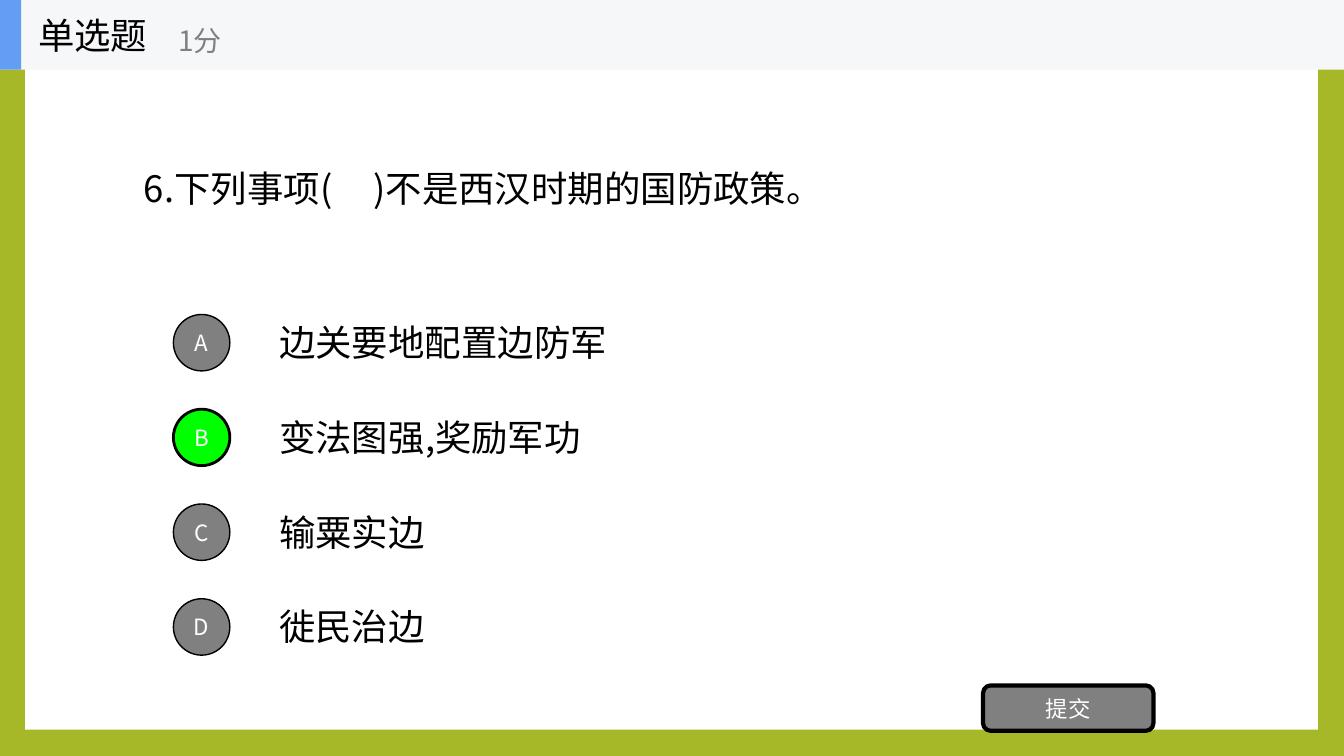
from dataclasses import dataclass

from lxml import etree
from pptx import Presentation
from pptx.dml.color import RGBColor
from pptx.enum.shapes import MSO_SHAPE
from pptx.enum.text import MSO_ANCHOR, MSO_AUTO_SIZE, PP_ALIGN
from pptx.oxml.ns import qn
from pptx.shapes.autoshape import Shape
from pptx.util import Emu, Pt

RECTANGLE = MSO_SHAPE.RECTANGLE
ROUNDED = MSO_SHAPE.ROUNDED_RECTANGLE
OVAL = MSO_SHAPE.OVAL
MIDDLE = MSO_ANCHOR.MIDDLE
LEFT = PP_ALIGN.LEFT
CENTER = PP_ALIGN.CENTER
GROW = MSO_AUTO_SIZE.SHAPE_TO_FIT_TEXT
FIXED = MSO_AUTO_SIZE.NONE

EMU_PER_PX = 9144  # 100 px to the inch


@dataclass(frozen=True)
class Theme:
    font: str = "Noto Sans CJK SC"
    border: str = "A6B727"
    panel: str = "FFFFFF"
    bar: str = "F6F7F8"
    accent: str = "639EF4"
    ink: str = "000000"
    muted: str = "808080"
    correct: str = "00FF00"
    light: str = "FFFFFF"
    body_size: int = 26
    points_size: int = 20
    button_size: int = 16


@dataclass(frozen=True)
class Area:
    left: int
    top: int
    width: int
    height: int

    def emu(self) -> list[Emu]:
        sides = (self.left, self.top, self.width, self.height)
        return [Emu(side * EMU_PER_PX) for side in sides]


@dataclass(frozen=True)
class Choice:
    letter: str
    answer: str
    width: int
    correct: bool = False


THEME = Theme()
CHOICES = (
    Choice("A", "边关要地配置边防军", 356),
    Choice("B", "变法图强,奖励军功", 328, correct=True),
    Choice("C", "输粟实边", 175),
    Choice("D", "徙民治边", 175),
)
CHOICE_TOP = 312
CHOICE_PITCH = 94
CIRCLE_LEFT = 172
CIRCLE_SIZE = 56
ANSWER_LEFT = 267
TEXT_HEIGHT = 53
BAR_HEIGHT = 69


def write(box: Shape, text: str, size: int, color: str, align: PP_ALIGN) -> None:
    """Fill a box with one vertically centred paragraph."""
    box.text_frame.vertical_anchor = MIDDLE
    para = box.text_frame.paragraphs[0]
    para.text = text
    para.alignment = align
    para.font.size = Pt(size)
    para.font.color.rgb = RGBColor.from_string(color)
    para.font.name = THEME.font
    defaults = para._p.pPr.find(qn("a:defRPr"))
    etree.SubElement(defaults, qn("a:ea"), typeface=THEME.font)


def add_text(shapes, area: Area, text: str, size: int = THEME.body_size,
             color: str = THEME.ink, wrap: bool = True) -> None:
    box = shapes.add_textbox(*area.emu())
    box.text_frame.word_wrap = wrap
    box.text_frame.auto_size = GROW if wrap else FIXED
    write(box, text, size, color, LEFT)


def add_block(shapes, kind: MSO_SHAPE, area: Area, fill: str) -> Shape:
    """Add a plain filled shape without outline or shadow."""
    block = shapes.add_shape(kind, *area.emu())
    block.shadow.inherit = False
    block.fill.solid()
    block.fill.fore_color.rgb = RGBColor.from_string(fill)
    block.line.fill.background()
    return block


def add_button(shapes, kind: MSO_SHAPE, area: Area, label: str,
               fill: str, line_width: int) -> None:
    button = add_block(shapes, kind, area, fill)
    button.line.color.rgb = RGBColor.from_string(THEME.ink)
    button.line.width = Pt(line_width)
    write(button, label, THEME.button_size, THEME.light, CENTER)


def add_choice(shapes, choice: Choice, top: int) -> None:
    add_text(shapes, Area(ANSWER_LEFT, top + 1, choice.width, TEXT_HEIGHT), choice.answer)
    add_button(shapes, OVAL, Area(CIRCLE_LEFT, top, CIRCLE_SIZE, CIRCLE_SIZE), choice.letter,
               THEME.correct if choice.correct else THEME.muted,
               2 if choice.correct else 1)


def add_title_bar(shapes) -> None:
    add_block(shapes, RECTANGLE, Area(0, 0, 1333, BAR_HEIGHT), THEME.bar)
    add_block(shapes, RECTANGLE, Area(0, 0, 21, BAR_HEIGHT), THEME.accent)
    add_text(shapes, Area(28, 0, 208, BAR_HEIGHT), "单选题", wrap=False)
    add_text(shapes, Area(167, 12, 250, 56), "1分", THEME.points_size, THEME.muted, wrap=False)


def main() -> None:
    deck = Presentation()
    deck.slide_width = Emu(1333 * EMU_PER_PX)
    deck.slide_height = Emu(750 * EMU_PER_PX)
    page = deck.slides.add_slide(deck.slide_layouts[6])
    page.background.fill.solid()
    page.background.fill.fore_color.rgb = RGBColor.from_string(THEME.border)

    add_block(page.shapes, RECTANGLE, Area(25, 27, 1282, 697), THEME.panel)
    add_text(page.shapes, Area(133, 160, 727, TEXT_HEIGHT),
             "6.下列事项(     )不是西汉时期的国防政策。")
    for row, choice in enumerate(CHOICES):
        add_choice(page.shapes, choice, CHOICE_TOP + row * CHOICE_PITCH)
    add_button(page.shapes, ROUNDED, Area(975, 680, 169, 45), "提交", THEME.muted, 3)
    add_title_bar(page.shapes.add_group_shape().shapes)
    deck.save("out.pptx")


if __name__ == "__main__":
    main()
